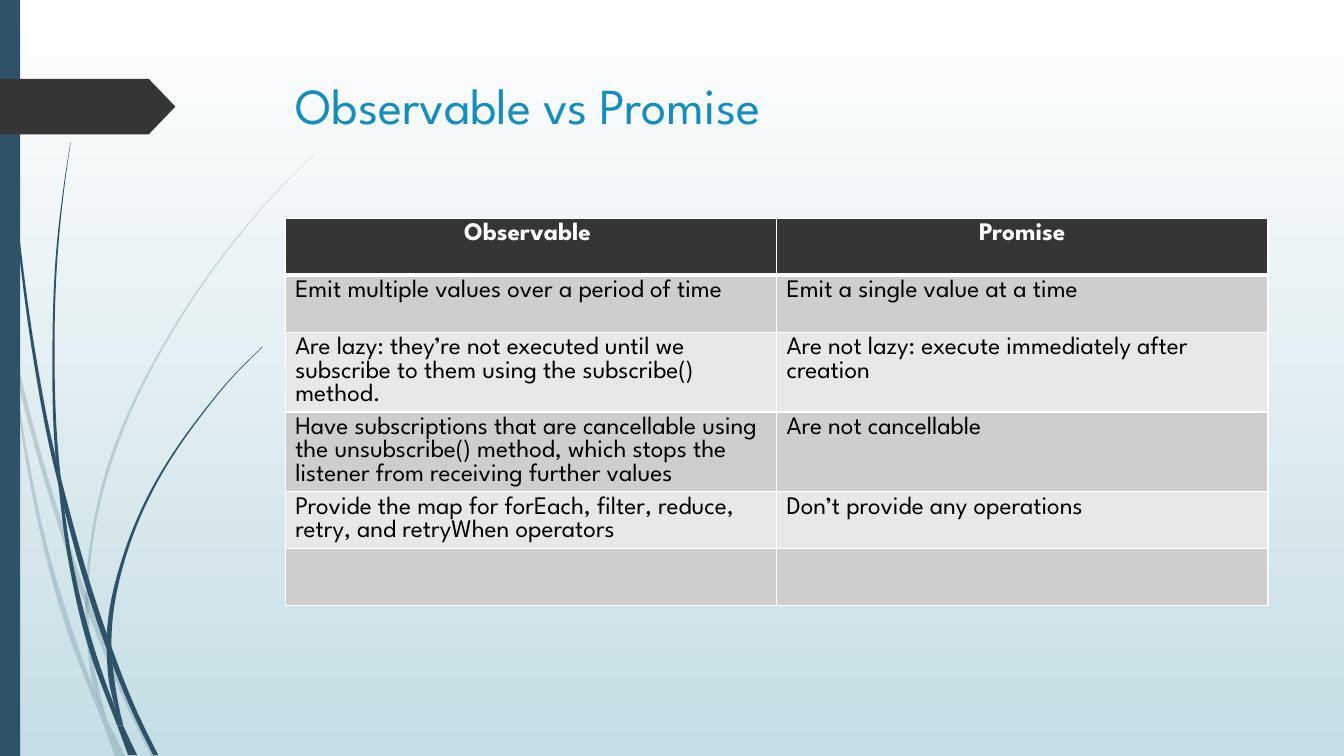
"""Build the slide comparing Observable and Promise."""
from dataclasses import dataclass

from lxml import etree
from pptx import Presentation
from pptx.dml.color import RGBColor
from pptx.enum.shapes import MSO_SHAPE
from pptx.enum.text import MSO_ANCHOR, PP_ALIGN
from pptx.oxml.ns import qn
from pptx.util import Pt

RECTANGLE, PENTAGON = MSO_SHAPE.RECTANGLE, MSO_SHAPE.PENTAGON
LEFT, CENTER, TOP = PP_ALIGN.LEFT, PP_ALIGN.CENTER, MSO_ANCHOR.TOP

FONT = "League Spartan"
WHITE = RGBColor(0xFF, 0xFF, 0xFF)
BLACK = RGBColor(0x00, 0x00, 0x00)
MIST = RGBColor(0xC5, 0xDE, 0xE5)
NAVY = RGBColor(0x2E, 0x53, 0x69)
CHARCOAL = RGBColor(0x35, 0x35, 0x35)
TITLE_BLUE = RGBColor(0x17, 0x8D, 0xBB)
BANDS = (RGBColor(0xE8, 0xE8, 0xE8), RGBColor(0xCE, 0xCE, 0xCE))

FAINT, SOLID = 20, 100

ROWS = (
    ("Observable ", "Promise"),
    ("Emit multiple values over a period of time", "Emit a single value at a time"),
    ("Are lazy: they’re not executed until we subscribe to them using the subscribe() method.",
     "Are not lazy: execute immediately after creation"),
    ("Have subscriptions that are cancellable using the unsubscribe() method, "
     "which stops the listener from receiving further values", "Are not cancellable"),
    ("Provide the map for forEach, filter, reduce, retry, and retryWhen operators",
     "Don’t provide any operations"),
    ("", ""),
)


@dataclass(frozen=True)
class Blade:
    """A grass blade: knots of centre x, y and width from the top, cut at some knots."""
    opacity: int
    cuts: tuple
    knots: tuple


BLADES = (
    Blade(FAINT, (1, 4), (
        (0, 209, 2), (9.4, 252, 3), (24.4, 311.8, 3.2), (43, 374.5, 3.4),
        (61.4, 428.4, 3.8), (89.6, 498.2, 3.6), (109.8, 540, 3.6))),
    Blade(FAINT, (5,), (
        (7.9, 252, 0.4), (21.3, 338.4, 2.3), (33, 392.6, 2.9), (48.6, 446.4, 4),
        (65.8, 493.2, 3.4), (74, 512.6, 3.9), (85.7, 540, 7.2))),
    Blade(FAINT, (6,), (
        (224.6, 110.2, 0.3), (193, 142, 0.7), (164.5, 176, 1), (114.5, 251, 1.6),
        (78, 332.5, 2.2), (62.3, 420.5, 2.2), (62, 430, 2.5), (64.1, 465, 2.6),
        (68.8, 492, 3.4), (75.6, 512, 0.4))),
    Blade(SOLID, (5, 8), (
        (2.5, 0, 0.6), (5.4, 79, 0.7), (13, 167.5, 1.5), (24.8, 255.6, 2.2),
        (37.8, 324, 2.8), (42.2, 342, 3), (44.9, 352.8, 3.2), (65, 424.8, 4),
        (77.2, 460.8, 4), (96.5, 509, 3.5), (111.2, 539.3, 3.6))),
    Blade(SOLID, (5, 9), (
        (50.4, 101.5, 0.2), (45, 139, 0.7), (41, 176.4, 1.2), (38.2, 251.3, 1.5),
        (40.6, 324, 2.2), (42.3, 341, 2.2), (50.4, 401, 2.9), (68.8, 473.8, 4),
        (77.4, 497.5, 3.6), (85.9, 518.4, 4.3), (94.7, 539.3, 6.5))),
    Blade(SOLID, (6,), (
        (187.6, 247.7, 0.5), (166.3, 269, 0.7), (147.2, 292, 1), (113, 342, 1.6),
        (89, 397, 2.2), (78, 455, 3.4), (78, 464, 3.4), (80.3, 489.6, 4),
        (84.6, 508.3, 2.2), (87.8, 517.7, 0.3))),
)


def paint(shape, color: RGBColor) -> None:
    """Give a shape a plain fill with no line or shadow."""
    shape.shadow.inherit = False
    shape.fill.solid()
    shape.fill.fore_color.rgb = color
    shape.line.fill.background()


def curve(edge: list) -> list:
    """Return cubic Bezier points through an edge, with x as a smooth function of y."""
    gaps = [end[1] - start[1] for start, end in zip(edge, edge[1:])]
    chords = [(end[0] - start[0]) / gap for start, end, gap in zip(edge, edge[1:], gaps)]
    inner = [(gaps[i + 1] * chords[i] + gaps[i] * chords[i + 1]) / (gaps[i] + gaps[i + 1])
             for i in range(len(gaps) - 1)]
    slopes = [1.5 * chords[0] - inner[0] / 2, *inner, 1.5 * chords[-1] - inner[-1] / 2]
    points = [edge[0]]
    for i, gap in enumerate(gaps):
        (x, y), (end_x, end_y), third = edge[i], edge[i + 1], gap / 3
        points += [(x + slopes[i] * third, y + third),
                   (end_x - slopes[i + 1] * third, end_y - third), edge[i + 1]]
    return points


def bend(path_element, first: int, count: int) -> None:
    """Turn a run of line segments into cubic curves, three points to each."""
    lines = path_element.findall(qn("a:lnTo"))[first:first + count]
    for start in range(0, count, 3):
        cubic = etree.Element(qn("a:cubicBezTo"))
        lines[start].addprevious(cubic)
        for line in lines[start:start + 3]:
            cubic.append(line[0])
            path_element.remove(line)


def draw_blade(page, blade: Blade) -> None:
    """Draw the sections of a tapered blade as closed curved outlines."""
    left = curve([(x - width / 2, y) for x, y, width in blade.knots])
    right = curve([(x + width / 2, y) for x, y, width in blade.knots])
    stops = (0, *blade.cuts, len(blade.knots) - 1)
    for start, end in zip(stops, stops[1:]):
        section = slice(3 * start, 3 * end + 1)
        points = [(Pt(x), Pt(y)) for x, y in left[section] + right[section][::-1]]
        outline = page.shapes.build_freeform(*points[0])
        outline.add_line_segments(points[1:], close=True)
        shape = outline.convert_to_shape()
        count = 3 * (end - start)
        path_element = next(shape.element.iter(qn("a:path")))
        bend(path_element, count + 1, count)
        bend(path_element, 0, count)
        paint(shape, NAVY)
        if blade.opacity < SOLID:
            color = shape.element.spPr.find(qn("a:solidFill"))[0]
            etree.SubElement(color, qn("a:alpha"), val=str(blade.opacity * 1000))


def draw_title(page) -> None:
    """Place and format the title."""
    title = page.shapes.title
    title.left, title.top, title.width, title.height = Pt(204), Pt(49), Pt(702), Pt(101)
    frame = title.text_frame
    frame.text = "Observable vs Promise"
    frame.vertical_anchor = TOP
    para = frame.paragraphs[0]
    para.alignment = LEFT
    para.font.name, para.font.size = FONT, Pt(36)
    para.font.color.rgb = TITLE_BLUE


def add_border(cell, side: str, width: float) -> None:
    """Add a white border to one side of a cell."""
    properties = cell._tc.get_or_add_tcPr()
    line = etree.SubElement(properties, qn(f"a:ln{side}"), w=str(Pt(width)))
    fill = etree.SubElement(line, qn("a:solidFill"))
    etree.SubElement(fill, qn("a:srgbClr"), val=str(WHITE))


def fill_cell(cell, text: str, row: int) -> None:
    """Write and format a cell according to its row."""
    header = row == 0
    widths = {"L": 1, "R": 1, "T": 3 if row == 1 else 1, "B": 3 if header else 1}
    for side, width in widths.items():
        add_border(cell, side, width)
    cell.fill.solid()
    cell.fill.fore_color.rgb = CHARCOAL if header else BANDS[row % 2]
    cell.text = text
    para = cell.text_frame.paragraphs[0]
    para.alignment = CENTER if header else LEFT
    para.font.name, para.font.size, para.font.bold = FONT, Pt(18), header
    para.font.color.rgb = WHITE if header else BLACK


def draw_table(page) -> None:
    """Draw the comparison table."""
    row_height = 40.7
    table = page.shapes.add_table(len(ROWS), len(ROWS[0]), Pt(203.7), Pt(155.9), Pt(702),
                                  Pt(row_height * len(ROWS))).table
    table.horz_banding = False
    for row, texts in enumerate(ROWS):
        table.rows[row].height = Pt(row_height)
        for column, text in enumerate(texts):
            fill_cell(table.cell(row, column), text, row)


def main() -> None:
    """Assemble and save the deck."""
    deck = Presentation()
    deck.slide_width, deck.slide_height = Pt(960), Pt(540)
    page = deck.slides.add_slide(deck.slide_layouts[5])
    backdrop = page.background.fill
    backdrop.gradient()
    backdrop.gradient_angle = 270
    for position, (stop, color) in enumerate(zip(backdrop.gradient_stops, (WHITE, MIST))):
        stop.color.rgb, stop.position = color, position
    for blade in BLADES:
        draw_blade(page, blade)
    paint(page.shapes.add_shape(RECTANGLE, 0, 0, Pt(14.4), Pt(540)), NAVY)
    marker = page.shapes.add_shape(PENTAGON, 0, Pt(56.3), Pt(125.3), Pt(39.7))
    marker.adjustments[0] = 0.48
    paint(marker, CHARCOAL)
    draw_title(page)
    draw_table(page)
    deck.save("out.pptx")


main()
